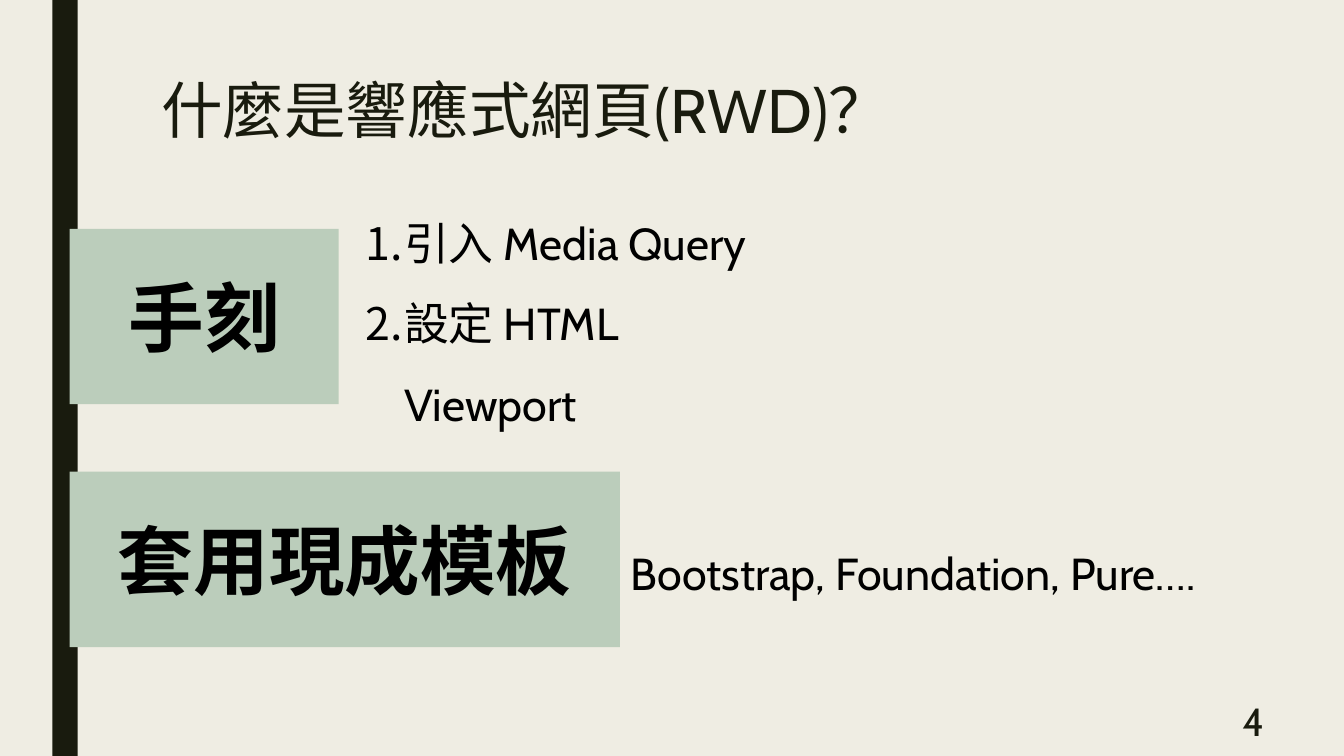
from lxml import etree
from pptx import Presentation
from pptx.dml.color import RGBColor as RGB
from pptx.enum.shapes import MSO_SHAPE as SHAPE
from pptx.enum.text import MSO_ANCHOR as ANCHOR, PP_ALIGN as ALIGN
from pptx.oxml.ns import qn
from pptx.util import Inches, Pt

COLORS = {"paper": "EFEDE3", "ink": "191B0E", "sage": "BBCDBB", "black": "000000"}
FONT = "Cabin"

prs = Presentation()
prs.slide_width, prs.slide_height = Inches(13.333), Inches(7.5)
COL, ROW = prs.slide_width / 160, prs.slide_height / 90
s = prs.slides.add_slide(prs.slide_layouts[6])
s.background.fill.solid()
s.background.fill.fore_color.rgb = RGB.from_string(COLORS["paper"])


def add_box(x, y, w, h, fill=None):
    """Add a filled rectangle, or a text box without fill, in grid units."""
    area = [round(v) for v in (x * COL, y * ROW, w * COL, h * ROW)]
    if fill is None:
        return s.shapes.add_textbox(*area)
    sp = s.shapes.add_shape(SHAPE.RECTANGLE, *area)
    sp.shadow.inherit = False
    sp.fill.solid()
    sp.fill.fore_color.rgb = RGB.from_string(COLORS[fill])
    sp.line.fill.background()
    return sp


def write(sp, lines, size, color="black", bold=False, align=ALIGN.LEFT,
          anchor=ANCHOR.MIDDLE, spacing=1.0, margin=0, numbered=False):
    """Write one paragraph per line, with an optional indent and numbering."""
    tf = sp.text_frame
    tf.word_wrap = True
    tf.vertical_anchor = anchor
    for i, line in enumerate(lines):
        p = tf.add_paragraph() if i else tf.paragraphs[0]
        p.alignment, p.line_spacing = align, spacing
        pPr = p._p.get_or_add_pPr()
        pPr.set("marL", str(Inches(margin)))
        if numbered:
            pPr.set("indent", str(-Inches(0.38)))
            etree.SubElement(pPr, qn("a:buFont"), typeface="+mj-lt")
            etree.SubElement(pPr, qn("a:buAutoNum"), type="arabicPeriod")
        r = p.add_run()
        r.text = line
        r.font.name, r.font.size, r.font.bold = FONT, Pt(size), bold
        r.font.color.rgb = RGB.from_string(COLORS[color])


add_box(6.24, 0, 3, 90, "ink")

title = add_box(18, 9, 126, 19.44)
write(title, ["什麼是響應式網頁(RWD)？"], 44, "ink", anchor=ANCHOR.TOP, spacing=0.89)

for label, top, width in [("手刻", 27.24, 32.04), ("套用現成模板", 56.16, 65.52)]:
    card = add_box(8.28, top, width, 20.88, "sage")
    write(card, [label], 54, bold=True, align=ALIGN.CENTER)

steps = add_box(37.92, 26.52, 57.72, 20.64)
write(steps, ["引入 Media Query", "設定 HTML Viewport"], 32,
      spacing=1.5, margin=0.75, numbered=True)

frameworks = add_box(69.36, 61.2, 75.96, 10.92)
write(frameworks, ["Bootstrap, Foundation, Pure…."], 32,
      anchor=ANCHOR.TOP, spacing=1.5, margin=0.38)

number = add_box(130.68, 83.16, 21, 5.28)
write(number, ["4"], 28, "ink", align=ALIGN.RIGHT)

prs.save("out.pptx")
